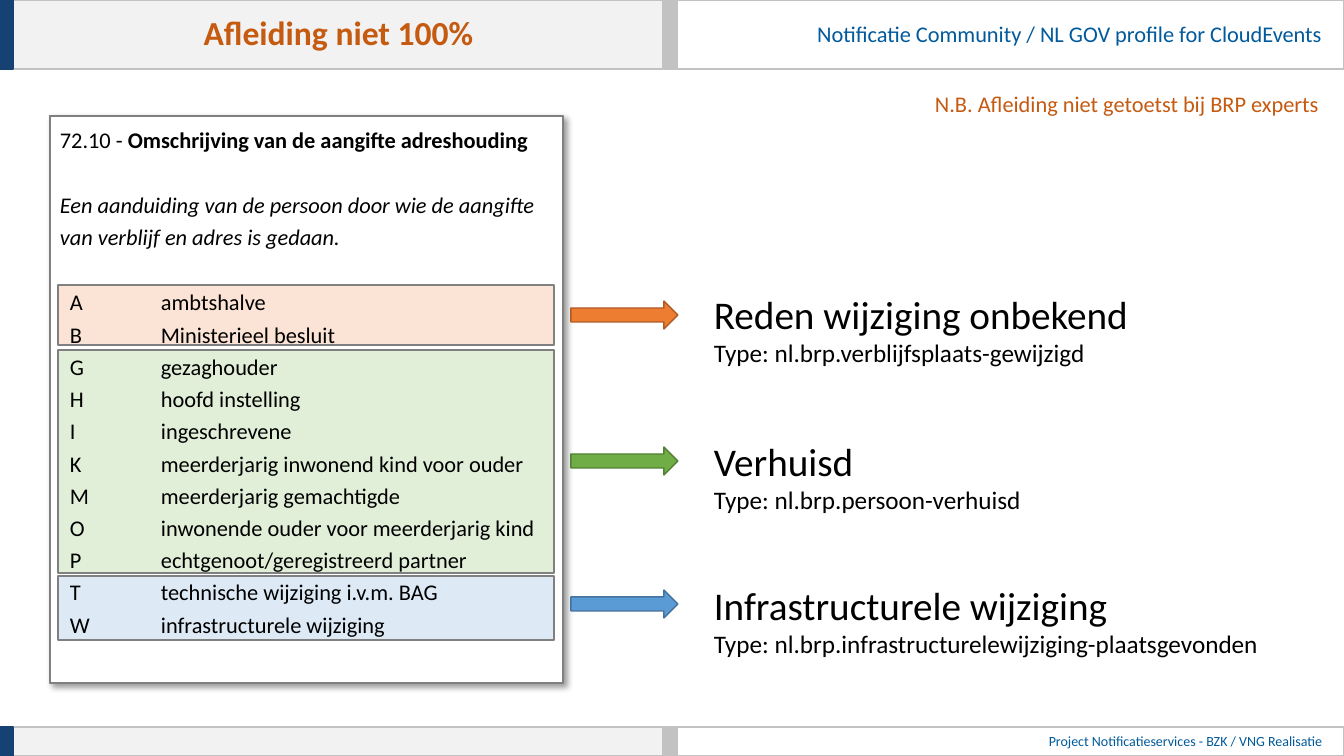
import lxml.etree
import pptx
import pptx.dml.color
import pptx.enum.shapes
import pptx.enum.text
import pptx.oxml
import pptx.oxml.ns
import pptx.util

SHAPE = pptx.enum.shapes.MSO_SHAPE
ALIGN = pptx.enum.text.PP_ALIGN
ANCHOR = pptx.enum.text.MSO_ANCHOR
FIT = pptx.enum.text.MSO_AUTO_SIZE
EMU_PER_PX = 914400 / 100.8

THEME = {
    "font": "Calibri",
    "title": 24, "event": 28, "type": 18, "body": 16, "footer": 10,
    "black": "000000", "white": "FFFFFF", "light": "F2F2F2", "grey": "C2C2C2",
    "border": "808080", "navy": "154273", "blue": "015A9B", "rust": "C55A11",
}


def add_box(shapes, kind, box, fill, line):
    """Add a preset shape; box is left, top, width, height in px."""
    shape = shapes.add_shape(kind, *[round(v * EMU_PER_PX) for v in box])
    shape.shadow.inherit = False
    if fill:
        shape.fill.solid()
        shape.fill.fore_color.rgb = pptx.dml.color.RGBColor.from_string(fill)
    else:
        shape.fill.background()
    shape.line.color.rgb = pptx.dml.color.RGBColor.from_string(line)
    shape.line.width = pptx.util.Pt(1)
    return shape


def write(paragraph, text, size, color, **formats):
    """Add a run with the theme font and any further font formats."""
    run = paragraph.add_run()
    run.text = text
    formats = {"name": THEME["font"], "size": pptx.util.Pt(size), **formats}
    for name, value in formats.items():
        setattr(run.font, name, value)
    run.font.color.rgb = pptx.dml.color.RGBColor.from_string(color)


presentation = pptx.Presentation()
presentation.slide_width = round(1344 * EMU_PER_PX)
presentation.slide_height = round(756 * EMU_PER_PX)
slide = presentation.slides.add_slide(presentation.slide_layouts[5])
shapes = slide.shapes

# Header and footer bars
for top, height in ((0, 69), (727, 29)):
    for left, width, fill, line in (
        (12, 651, "light", "grey"), (677, 667, "white", "grey"),
        (0, 13, "navy", "navy"), (664, 13, "grey", "grey"),
    ):
        add_box(shapes, SHAPE.RECTANGLE, (left, top, width, height),
                THEME[fill], THEME[line])

# Title, in front of the header bar
title = shapes.title
shapes._spTree.append(title._element)
for name, value in zip(("left", "top", "width", "height"), (14, 0, 649, 69)):
    setattr(title, name, round(value * EMU_PER_PX))
title.text_frame.vertical_anchor = ANCHOR.MIDDLE
title.text_frame.auto_size = FIT.NONE
paragraph = title.text_frame.paragraphs[0]
paragraph.alignment = ALIGN.CENTER
paragraph.line_spacing = 0.9
write(paragraph, "Afleiding niet 100%", THEME["title"], THEME["rust"], bold=True)

# Panel with a soft shadow
PANEL = (50, 116, 513, 567)
panel = add_box(shapes, SHAPE.RECTANGLE, PANEL, THEME["white"], THEME["border"])
effects = panel._element.spPr.find(pptx.oxml.ns.qn("a:effectLst"))
effects.append(pptx.oxml.parse_xml(
    f'<a:outerShdw {pptx.oxml.ns.nsdecls("a")} blurRad="50800" dist="38100" '
    'dir="2700000" algn="tl" rotWithShape="0"><a:srgbClr val="000000">'
    '<a:alpha val="40000"/></a:srgbClr></a:outerShdw>'))

# Half-transparent bands behind the codes
for top, height, fill in ((285, 60, "F8CBAD"), (350, 223, "C5E0B4"), (576, 64, "BDD7EE")):
    band = add_box(shapes, SHAPE.RECTANGLE, (58, top, 496, height), fill, THEME["border"])
    color = band._element.spPr.find(
        f'{pptx.oxml.ns.qn("a:solidFill")}/{pptx.oxml.ns.qn("a:srgbClr")}')
    lxml.etree.SubElement(color, pptx.oxml.ns.qn("a:alpha"), val="50000")

# Panel text: heading, description and code list
CODES = (
    ("A", "ambtshalve"),
    ("B", "Ministerieel besluit"),
    ("G", "gezaghouder"),
    ("H", "hoofd instelling"),
    ("I", "ingeschrevene"),
    ("K", "meerderjarig inwonend kind voor ouder"),
    ("M", "meerderjarig gemachtigde"),
    ("O", "inwonende ouder voor meerderjarig kind"),
    ("P", "echtgenoot/geregistreerd partner"),
    ("T", "technische wijziging i.v.m. BAG"),
    ("W", "infrastructurele wijziging"),
)
frame = add_box(shapes, SHAPE.RECTANGLE, PANEL, None, THEME["border"]).text_frame
frame.word_wrap = True
frame.vertical_anchor = ANCHOR.TOP
body = (THEME["body"], THEME["black"])
heading = frame.paragraphs[0]
write(heading, "72.10 - ", *body)
write(heading, "Omschrijving van de aangifte adreshouding", *body, bold=True)
description = frame.add_paragraph()
write(description, "Een aanduiding van de persoon door wie de aangifte "
      "van verblijf en adres is gedaan.", *body, italic=True)
for code, meaning in CODES:
    paragraph = frame.add_paragraph()
    properties = paragraph._p.get_or_add_pPr()
    properties.set("marL", str(round(101 * EMU_PER_PX)))
    properties.set("indent", str(round(-91 * EMU_PER_PX)))
    write(paragraph, f"{code}\t{meaning}", *body)
for paragraph in frame.paragraphs:
    paragraph.alignment = ALIGN.LEFT
    paragraph.line_spacing = 1.2
for paragraph in frame.paragraphs[1:3]:
    paragraph.space_before = pptx.util.Pt(23.4)

# Arrows to the events
for top, fill, line in ((301, "ED7D31", "AF5C24"), (447, "70AD47", "538035"),
                        (590, "5B9BD5", "43739E")):
    add_box(shapes, SHAPE.RIGHT_ARROW, (571, top, 107, 28), fill, line)

# Event names and types, header, footer and remark
event = (THEME["event"], THEME["black"])
kind = (THEME["type"], THEME["black"])
for box, align, wrap, lines in (
    ((760, 15, 572, 37), ALIGN.RIGHT, True,
     [("Notificatie Community / NL GOV profile for CloudEvents", THEME["body"], THEME["blue"])]),
    ((974, 728, 358, 27), ALIGN.RIGHT, True,
     [("Project Notificatieservices - BZK / VNG Realisatie", THEME["footer"], THEME["blue"])]),
    ((704, 285, 438, 92), ALIGN.LEFT, False,
     [("Reden wijziging onbekend", *event), ("Type: nl.brp.verblijfsplaats-gewijzigd", *kind)]),
    ((704, 432, 331, 89), ALIGN.LEFT, False,
     [("Verhuisd", *event), ("Type: nl.brp.persoon-verhuisd", *kind)]),
    ((704, 576, 571, 89), ALIGN.LEFT, False,
     [("Infrastructurele wijziging", *event),
      ("Type: nl.brp.infrastructurelewijziging-plaatsgevonden", *kind)]),
    ((925, 85, 409, 37), ALIGN.LEFT, False,
     [("N.B. Afleiding niet getoetst bij BRP experts", THEME["body"], THEME["rust"])]),
):
    frame = shapes.add_textbox(*[round(v * EMU_PER_PX) for v in box]).text_frame
    frame.word_wrap = wrap
    frame.auto_size = FIT.SHAPE_TO_FIT_TEXT
    for index, line in enumerate(lines):
        paragraph = frame.add_paragraph() if index else frame.paragraphs[0]
        paragraph.alignment = align
        write(paragraph, *line)

presentation.save("out.pptx")
